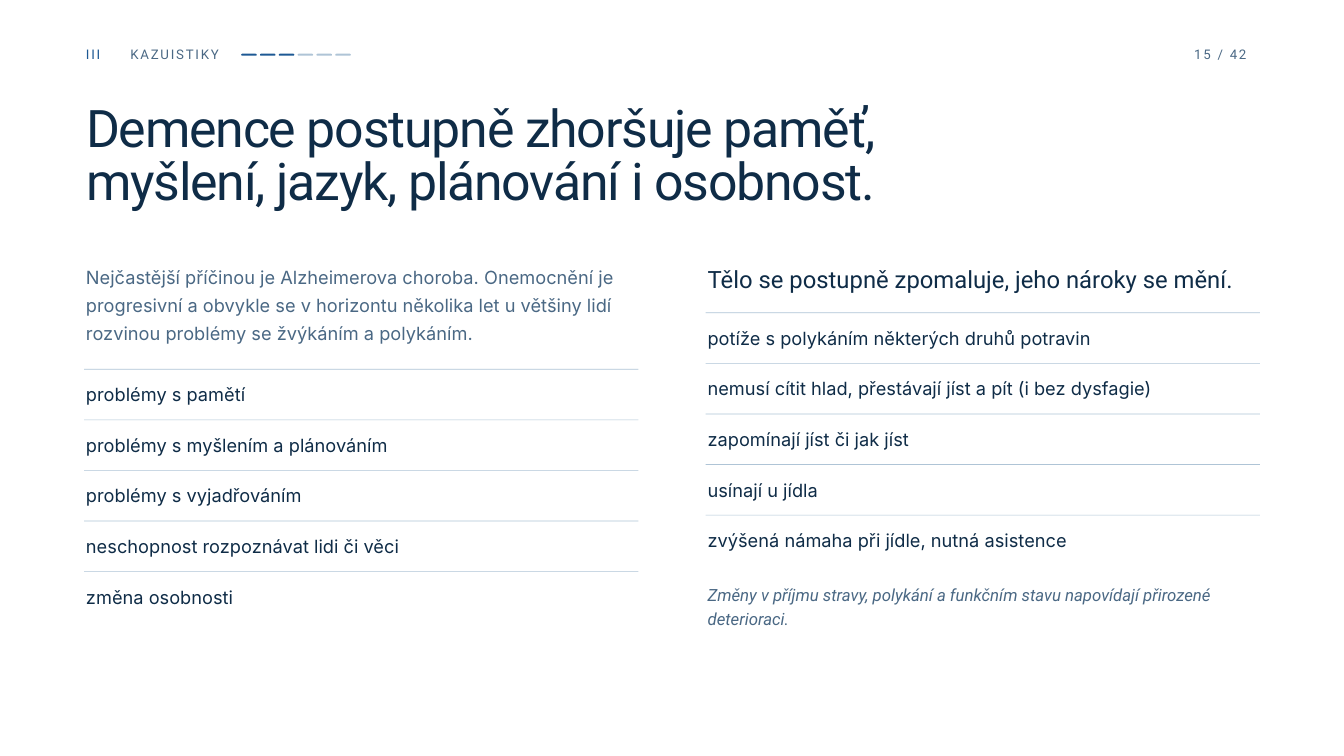
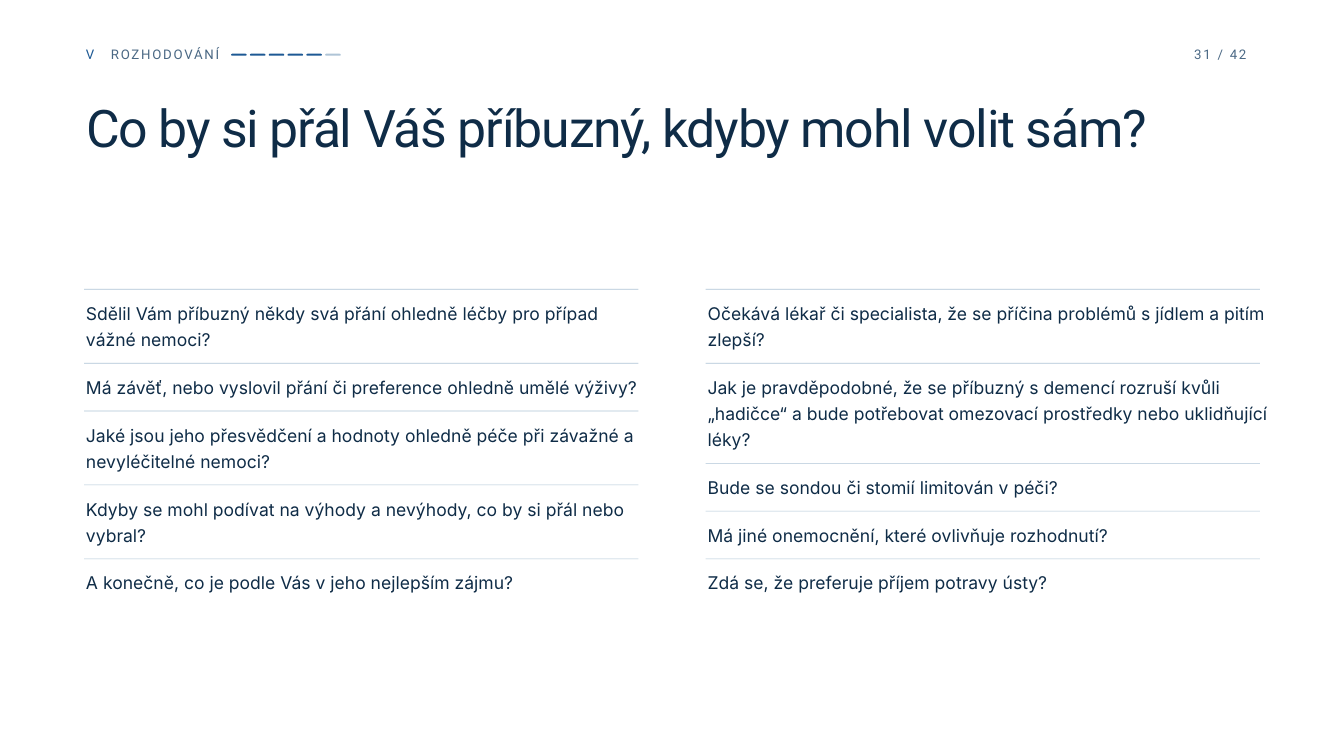
from dataclasses import dataclass

from pptx import Presentation
from pptx import util as u
from pptx.dml.color import RGBColor
from pptx.enum import shapes, text


@dataclass(frozen=True)
class Style:
    font: str
    size: float
    leading: float
    color: str
    spacing: float = 0
    italic: bool = False


class Theme:
    PAPER, INK, MUTED, ACCENT, RULE = "FFFFFF", "0F2C47", "4A6884", "1D5994", "AFC4D6"
    numeral = Style("Roboto", 14.2, 21.5, ACCENT, 1.9)
    header = Style("Roboto", 14.2, 21.5, MUTED, 1.9)
    title = Style("Roboto", 55.5, 56.7, INK, -1.3)
    intro = Style("Inter", 19.5, 30.1, MUTED)
    subtitle = Style("Roboto", 25.5, 28.8, INK)
    symptom = Style("Inter", 19.5, 29, INK)
    question = Style("Inter", 18.8, 28.1, INK)
    note = Style("Roboto", 18, 26.4, MUTED, italic=True)


# Content: header boxes are (text, left, width); list rows are (text, line count)
SECTIONS = 6
COLUMNS = (1.25, 10.5)
COLUMN_W, TEXT_W, INDENT = 8.25, 8.44, 0.03

DEMENTIA = {
    "numeral": ("III", 1.28, 0.46),
    "section": ("KAZUISTIKY", 1.94, 1.47),
    "progress": (3, 3.59),
    "page": "15 / 42",
    "title": ["Demence postupně zhoršuje paměť,", "myšlení, jazyk, plánování i osobnost."],
    "texts": [
        ("Nejčastější příčinou je Alzheimerova choroba. Onemocnění je progresivní a obvykle "
         "se v horizontu několika let u většiny lidí rozvinou problémy se žvýkáním a polykáním.",
         0, 3.87, TEXT_W, 1.34, Theme.intro),
        ("Tělo se postupně zpomaluje, jeho nároky se mění.",
         1, 3.97, 9.02, 0.41, Theme.subtitle),
        ("Změny v příjmu stravy, polykání a funkčním stavu napovídají přirozené deterioraci.",
         1, 8.63, TEXT_W, 0.79, Theme.note),
    ],
    "row_style": Theme.symptom,
    "row_padding": 0.35,
    "text_drop": 0.14,
    "lists": [
        (5.49, [
            ("problémy s pamětí", 1),
            ("problémy s myšlením a plánováním", 1),
            ("problémy s vyjadřováním", 1),
            ("neschopnost rozpoznávat lidi či věci", 1),
            ("změna osobnosti", 1),
        ]),
        (4.65, [
            ("potíže s polykáním některých druhů potravin", 1),
            ("nemusí cítit hlad, přestávají jíst a pít (i bez dysfagie)", 1),
            ("zapomínají jíst či jak jíst", 1),
            ("usínají u jídla", 1),
            ("zvýšená námaha při jídle, nutná asistence", 1),
        ]),
    ],
}

WISHES = {
    "numeral": ("V", 1.28, 0.17),
    "section": ("ROZHODOVÁNÍ", 1.65, 1.91),
    "progress": (5, 3.44),
    "page": "31 / 42",
    "title": ["Co by si přál Váš příbuzný, kdyby mohl volit sám?"],
    "texts": [],
    "row_style": Theme.question,
    "row_padding": 0.32,
    "text_drop": 0.13,
    "lists": [
        (4.3, [
            ("Sdělil Vám příbuzný někdy svá přání ohledně léčby pro případ vážné nemoci?", 2),
            ("Má závěť, nebo vyslovil přání či preference ohledně umělé výživy?", 1),
            ("Jaké jsou jeho přesvědčení a hodnoty ohledně péče při závažné a nevyléčitelné nemoci?", 2),
            ("Kdyby se mohl podívat na výhody a nevýhody, co by si přál nebo vybral?", 2),
            ("A konečně, co je podle Vás v jeho nejlepším zájmu?", 1),
        ]),
        (4.3, [
            ("Očekává lékař či specialista, že se příčina problémů s jídlem a pitím zlepší?", 2),
            ("Jak je pravděpodobné, že se příbuzný s demencí rozruší kvůli „hadičce“ a bude "
             "potřebovat omezovací prostředky nebo uklidňující léky?", 3),
            ("Bude se sondou či stomií limitován v péči?", 1),
            ("Má jiné onemocnění, které ovlivňuje rozhodnutí?", 1),
            ("Zdá se, že preferuje příjem potravy ústy?", 1),
        ]),
    ],
}


def add_text(s, lines, x, y, w, h, style):
    tf = s.shapes.add_textbox(*map(u.Inches, (x, y, w, h))).text_frame
    tf.word_wrap = True
    tf.auto_size = text.MSO_AUTO_SIZE.SHAPE_TO_FIT_TEXT
    tf.margin_left = tf.margin_right = tf.margin_top = tf.margin_bottom = 0
    for i, line in enumerate(lines):
        p = tf.paragraphs[0] if i == 0 else tf.add_paragraph()
        p.line_spacing = u.Pt(style.leading)
        r = p.add_run()
        r.text = line
        r.font.name, r.font.size = style.font, u.Pt(style.size)
        r.font.color.rgb = RGBColor.from_string(style.color)
        if style.italic:
            r.font.italic = True
        if style.spacing:
            r._r.get_or_add_rPr().set("spc", str(round(style.spacing * 100)))


def add_bar(s, x, y, w, h, color, kind=shapes.MSO_SHAPE.RECTANGLE):
    sp = s.shapes.add_shape(kind, *map(u.Inches, (x, y, w, h)))
    sp.shadow.inherit = False
    sp.fill.solid()
    sp.fill.fore_color.rgb = RGBColor.from_string(color)
    sp.line.fill.background()
    return sp


def add_header(s, data):
    for key, style in (("numeral", Theme.numeral), ("section", Theme.header)):
        label, x, w = data[key]
        add_text(s, [label], x, 0.62, w, 0.37, style)
    # Progress dashes, one per section
    done, left = data["progress"]
    for i in range(SECTIONS):
        color = Theme.ACCENT if i < done else Theme.RULE
        dash = add_bar(s, left + i * 0.28, 0.8, 0.23, 0.03, color,
                       shapes.MSO_SHAPE.ROUNDED_RECTANGLE)
        dash.adjustments[0] = 0.5
    add_text(s, [data["page"]], 17.77, 0.62, 1.04, 0.37, Theme.header)
    add_text(s, data["title"], 1.28, 1.56, 16.68, 1.63, Theme.title)


def add_list(s, x, y, rows, data):
    """Stack rows under hairlines; each row is as tall as its lines plus padding."""
    style = data["row_style"]
    for label, lines in rows:
        height = lines * style.leading / 72
        add_bar(s, x, y, COLUMN_W, 0.01, Theme.RULE)
        add_text(s, [label], x + INDENT, y + data["text_drop"], TEXT_W, height + 0.05, style)
        y += height + data["row_padding"]


def build_slide(prs, data):
    s = prs.slides.add_slide(prs.slide_layouts[6])
    s.background.fill.solid()
    s.background.fill.fore_color.rgb = RGBColor.from_string(Theme.PAPER)
    add_header(s, data)
    for label, column, y, w, h, style in data["texts"]:
        add_text(s, [label], COLUMNS[column] + INDENT, y, w, h, style)
    for x, (y, rows) in zip(COLUMNS, data["lists"]):
        add_list(s, x, y, rows, data)


def main():
    prs = Presentation()
    prs.slide_width, prs.slide_height = u.Inches(20), u.Inches(11.25)
    for data in (DEMENTIA, WISHES):
        build_slide(prs, data)
    prs.save("out.pptx")


if __name__ == "__main__":
    main()
